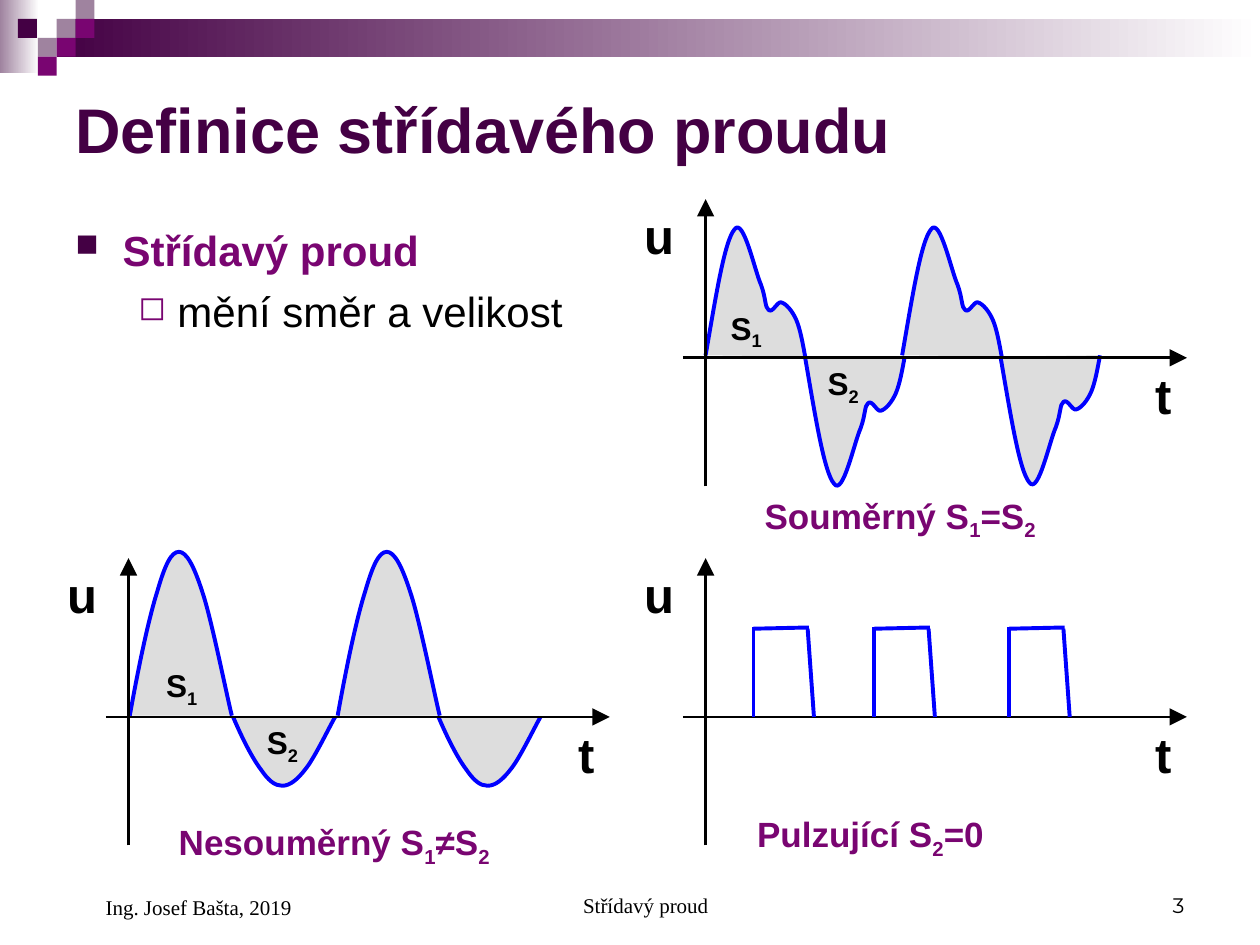
from lxml import etree
from pptx import Presentation
from pptx import util as u
from pptx.dml.color import RGBColor
from pptx.enum import shapes, text
from pptx.oxml.ns import qn

THEME = {
    "dark": RGBColor.from_string("440044"),
    "accent": RGBColor.from_string("790571"),
    "pale": RGBColor.from_string("9F839F"),
    "white": RGBColor.from_string("FFFFFF"),
    "ink": RGBColor.from_string("000000"),
    "wave": RGBColor.from_string("0000FF"),
    "area": RGBColor.from_string("DDDDDD"),
    "title": 36, "axis": 28, "body": 24, "caption": 20, "label": 18, "footer": 12,
}

deck = Presentation()
deck.slide_width, deck.slide_height = u.Inches(10), u.Inches(7.5)
page = deck.slides.add_slide(deck.slide_layouts[6])
CELL = deck.slide_width / 100  # the page is 100 columns by 75 rows


def grid(*values):
    return [u.Emu(round(value * CELL)) for value in values]


def write(place, pieces, size, color="ink", bold=True, name="Arial",
          anchor="TOP", align="LEFT", indent=0):
    """Add a text box; every second piece is a subscript."""
    box = page.shapes.add_textbox(*grid(*place))
    frame = box.text_frame
    frame.word_wrap = True
    frame.vertical_anchor = text.MSO_ANCHOR[anchor]
    para = frame.paragraphs[0]
    para.alignment = text.PP_ALIGN[align]
    if indent:
        props = para._p.get_or_add_pPr()
        props.set("marL", str(grid(indent)[0]))
        props.set("indent", "0")
    look = {"size": u.Pt(THEME[size]), "bold": bold, "name": name}
    for index, piece in enumerate(pieces):
        span = para.add_run()
        span.text = piece
        for key, value in look.items():
            setattr(span.font, key, value)
        span.font.color.rgb = THEME[color]
        if index % 2:
            span._r.get_or_add_rPr().set("baseline", "-25000")


# Header: two fading bands and a mosaic of squares
TILE = 1.5
bands = [((0, 0, 3.1, 5.8), "pale"), ((4.5, 1.5, 95.5, 3), "dark")]
mosaic = [(3, 1, "pale"), (4, 0, "pale"), (4, 1, "accent"), (2, 2, "pale"),
          (0.95, 1, "dark"), (3, 2, "accent"), (2, 3, "accent")]
tiles = [((col * TILE, row * TILE, TILE, TILE), color) for col, row, color in mosaic]
for place, color in bands + tiles:
    block = page.shapes.add_shape(shapes.MSO_SHAPE.RECTANGLE, *grid(*place))
    block.shadow.inherit = False
    block.line.fill.background()
    if (place, color) in bands:
        block.fill.gradient()
        block.fill.gradient_angle = 0
        for stop, shade in zip(block.fill.gradient_stops, (color, "white")):
            stop.color.rgb = THEME[shade]
    else:
        block.fill.solid()
        block.fill.fore_color.rgb = THEME[color]

write((5, 5, 90, 10.3), ["Definice střídavého proudu"], "title", "dark", anchor="MIDDLE")

# Bulleted text: words, text colour, bold, bullet, bullet colour, bullet size, margin, hanging
bullets = [
    ("Střídavý proud", "accent", True, "■", "dark", 75, 3.75, 3.75),
    ("mění směr a velikost", "ink", False, "◻", "accent", 80, 8.1, 3.1),
]
frame = page.shapes.add_textbox(*grid(5, 17.3, 43.2, 11.7)).text_frame
frame.word_wrap = True
for index, (words, color, bold, mark, mark_color, share, margin, hang) in enumerate(bullets):
    para = frame.add_paragraph() if index else frame.paragraphs[0]
    para.level = index
    if index:
        para.space_before = u.Pt(6)
    props = para._p.get_or_add_pPr()
    props.set("marL", str(grid(margin)[0]))
    props.set("indent", str(grid(-hang)[0]))
    tint = etree.SubElement(props, qn("a:buClr"))
    etree.SubElement(tint, qn("a:srgbClr"), val=str(THEME[mark_color]))
    etree.SubElement(props, qn("a:buSzPct"), val=str(share * 1000))
    etree.SubElement(props, qn("a:buChar"), char=mark)
    span = para.add_run()
    span.text = words
    look = {"size": u.Pt(THEME["body"]), "bold": bold, "name": "Arial"}
    for key, value in look.items():
        setattr(span.font, key, value)
    span.font.color.rgb = THEME[color]

# Half waves as chained cubic curves: a start, then three points a segment
RIPPLE = [(0, 0.1), (0.8, 4.7), (1.5, 9.2), (2.3, 10.1), (3, 11.1), (3.9, 6.8), (4.4, 5.7),
          (4.8, 4.6), (4.7, 3.9), (5, 3.7), (5.3, 3.4), (5.7, 4.4), (6, 4.3),
          (6.4, 4.2), (6.9, 3.6), (7.2, 2.9), (7.5, 2.2), (7.7, 1.1), (7.9, 0)]
ARCH = [(0, 0), (0.7, 3.9), (1.5, 7.7), (2.2, 9.9), (2.8, 12), (3.3, 13), (3.9, 13),
        (4.5, 13), (5.1, 11.9), (5.8, 9.7), (6.5, 7.6), (7.7, 1.6), (8.1, 0)]
PULSE = [(0, 0, 0, -7.1), (4.8, 0, 4.3, -7), (4.4, -7.1, 0, -7)]
AXES = [(-1.8, 0, 38.2, 0), (0, 10.2, 0, -12.6)]

# Each plot: origin, curve, (start, lift, height) of half waves, pulse starts, area labels
plots = [
    (56, 56.9, None, [], [3.8, 13.4, 24.1], []),
    (56, 28.4, RIPPLE, [(0, 0.1, 1), (7.9, 0.1, -1), (15.6, 0.1, 1), (23.4, 0.2, -1)], [],
     [("1", 1, -4.4), ("2", 8.7, 0)]),
    (10.2, 56.9, ARCH, [(0.1, 0.1, 1), (8.3, 0, -0.42), (16.6, 0.1, 1), (24.6, 0, -0.42)], [],
     [("1", 2, -4.5), ("2", 10, 0)]),
]
for left, base, curve, halves, pulses, areas in plots:
    for start, lift, height in halves:
        knots = [grid(left + start + x, base - lift - height * y) for x, y in curve]
        builder = page.shapes.build_freeform(*knots[0])
        builder.add_line_segments(knots[1:], close=False)
        wave = builder.convert_to_shape()
        outline = wave._element.find(".//" + qn("a:path"))
        legs = outline.findall(qn("a:lnTo"))
        for first in range(0, len(legs), 3):
            bend = etree.SubElement(outline, qn("a:cubicBezTo"))
            for leg in legs[first:first + 3]:
                bend.append(leg[0])
                outline.remove(leg)
        wave.shadow.inherit = False
        wave.fill.solid()
        wave.fill.fore_color.rgb = THEME["area"]
        wave.line.color.rgb = THEME["wave"]
        wave.line.width = u.Pt(2.25)

    strokes = [(ends, "ink", 1.5) for ends in AXES]
    strokes += [((x1 + start, y1, x2 + start, y2), "wave", 2.25)
                for start in pulses for x1, y1, x2, y2 in PULSE]
    for (x1, y1, x2, y2), color, width in strokes:
        stroke = page.shapes.add_connector(
            shapes.MSO_CONNECTOR.STRAIGHT, *grid(left + x1, base + y1, left + x2, base + y2))
        stroke.line.color.rgb = THEME[color]
        stroke.line.width = u.Pt(width)
        if color == "ink":
            etree.SubElement(stroke.line._get_or_add_ln(), qn("a:tailEnd"),
                             type="triangle", w="lg", len="lg")
        etree.SubElement(stroke._element.spPr, qn("a:effectLst"))

    write((left - 5.85, base - 12.6, 6.7, 5.7), ["u"], "axis")
    write((left + 34.7, base + 0.1, 4.5, 5.7), ["t"], "axis")
    for number, x, y in areas:
        write((left + x, base + y, 5, 4.4), ["S", number], "label")

captions = [
    ((59.7, 38.7, 32.1, 4.8), ["Souměrný S", "1", "=S", "2"]),
    ((13.2, 64, 32.1, 5.4), ["Nesouměrný S", "1", "≠S", "2"]),
    ((59.1, 64, 32.1, 4.8), ["Pulzující S", "2", "=0"]),
]
for place, pieces in captions:
    write(place, pieces, "caption", "accent", anchor="BOTTOM")

footers = [
    ((34.2, 68.3, 31.7, 5), "Střídavý proud", "Times New Roman", "CENTER", 2.4),
    ((71.7, 68.3, 23.3, 5), "3", "Montserrat", "RIGHT", 0),
    ((5, 68.3, 23.3, 5.2), "Ing. Josef Bašta, 2019", "Times New Roman", "LEFT", 2.4),
]
for place, words, name, align, indent in footers:
    write(place, [words], "footer", bold=False, name=name, anchor="BOTTOM",
          align=align, indent=indent)

deck.save("out.pptx")
